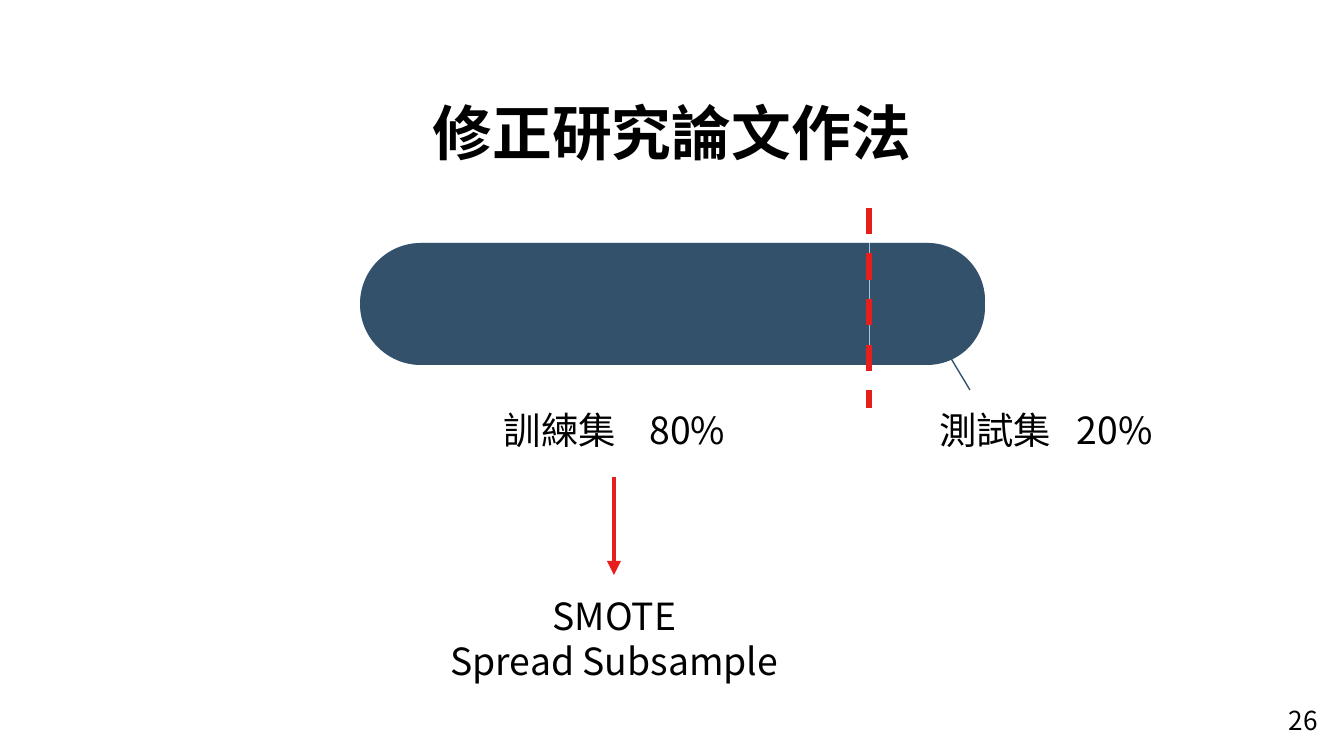
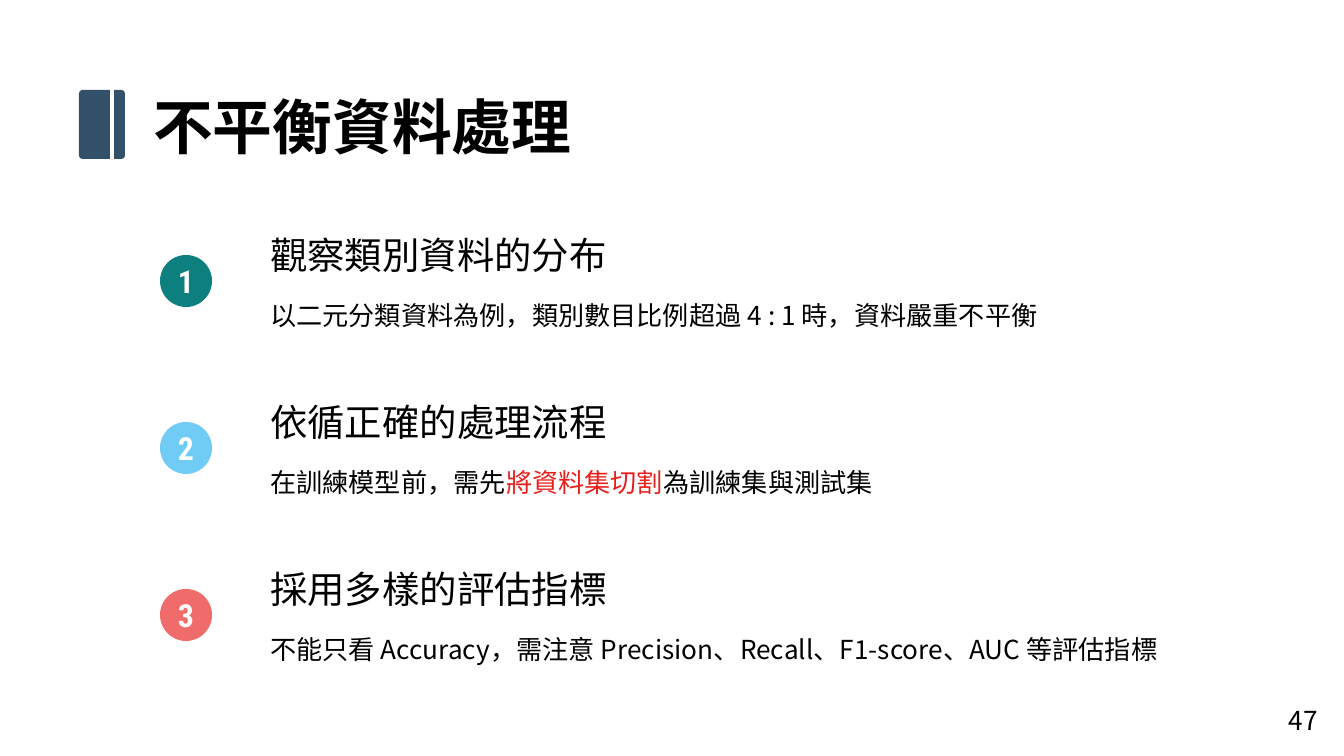
from lxml import etree
from pptx import Presentation
from pptx.dml.color import RGBColor
from pptx.enum.dml import MSO_LINE
from pptx.enum.shapes import MSO_CONNECTOR, MSO_SHAPE
from pptx.enum.text import MSO_ANCHOR, PP_ALIGN
from pptx.oxml.ns import qn
from pptx.util import Emu, Pt

COLORS = {
    "ink": "000000", "white": "FFFFFF", "navy": "34516C", "pale": "A7C3E1",
    "red": "E71F1C", "teal": "0E7F7F", "sky": "71CCF5", "coral": "EF6C6A",
}
BODY_FONT, BADGE_FONT = "Noto Sans CJK JP", "Roboto Condensed"
TITLE, HEADING, SMALL, BADGE = 32, 20, 14, 17

METHOD_TITLE = "修正研究論文作法"
DATASET_BAR = [
    ("pale", (360, 243, 625, 122), 90, (0.5, 0.5)),
    ("navy", (870, 243, 115, 122), 90, (0.5, 0)),
    ("navy", (360, 243, 509, 122), 270, (0.5, 0)),
]
SPLITS = [
    ("訓練集", "80%", 13.4, (360, 401, 509, 59), PP_ALIGN.CENTER),
    ("測試集", "20%", 9, (926, 401, 250, 59), PP_ALIGN.LEFT),
]
RESAMPLERS = ["SMOTE", "Spread Subsample"]

IMBALANCE_TITLE = "不平衡資料處理"
STEPS = [
    ("teal", "觀察類別資料的分布",
     [("以二元分類資料為例，類別數目比例超過 4 : 1 時，資料嚴重不平衡", "ink")]),
    ("sky", "依循正確的處理流程",
     [("在訓練模型前，需先", "ink"), ("將資料集切割", "red"), ("為訓練集與測試集", "ink")]),
    ("coral", "採用多樣的評估指標",
     [("不能只看 Accuracy，需注意 Precision、Recall、F1-score、AUC 等評估指標", "ink")]),
]
STEP_TOP, STEP_PITCH = 226, 167
BADGE_SIZE, BADGE_DROP = 52, 29


def px(length):
    return Emu(round(length * 914400 / 134.4))


def rgb(color):
    return RGBColor.from_string(COLORS[color])


def style(paragraph, size, color="ink", font=BODY_FONT, bold=False, align=PP_ALIGN.LEFT):
    paragraph.alignment = align
    paragraph.font.size = Pt(size)
    paragraph.font.bold = bold
    paragraph.font.name = font
    paragraph.font.color.rgb = rgb(color)
    defaults = paragraph.font._element
    latin = defaults.find(qn("a:latin"))
    east_asian = etree.Element(qn("a:ea"), typeface=font)
    latin.addnext(east_asian)


def add_text(slide, box, lines, **shared):
    frame = slide.shapes.add_textbox(*map(px, box)).text_frame
    frame.word_wrap = True
    for index, (text, size) in enumerate(lines):
        paragraph = frame.add_paragraph() if index else frame.paragraphs[0]
        paragraph.text = text
        style(paragraph, size, **shared)
    return frame.paragraphs


def add_shape(slide, preset, box, color):
    shape = slide.shapes.add_shape(preset, *map(px, box))
    shape.shadow.inherit = False
    shape.fill.solid()
    shape.fill.fore_color.rgb = rgb(color)
    shape.line.fill.background()
    return shape


def add_turned_end(slide, color, box, rotation, adjustments):
    left, top, width, height = box
    shift = (width - height) / 2
    end = add_shape(slide, MSO_SHAPE.ROUND_2_SAME_RECTANGLE,
                    (left + shift, top - shift, height, width), color)
    end.rotation = rotation
    for index, value in enumerate(adjustments):
        end.adjustments[index] = value


def add_line(slide, ends, color, width, dash=None, arrow=False):
    connector = slide.shapes.add_connector(MSO_CONNECTOR.STRAIGHT, *map(px, ends))
    line = connector.line
    line.color.rgb = rgb(color)
    line.width = Pt(width)
    if dash:
        line.dash_style = dash
    properties = connector._element.spPr
    if arrow:
        etree.SubElement(properties.find(qn("a:ln")), qn("a:tailEnd"), type="triangle")
    etree.SubElement(properties, qn("a:effectLst"))


def add_slide(deck, number):
    slide = deck.slides.add_slide(deck.slide_layouts[6])
    add_text(slide, (1263, 698, 81, 58), [(number, SMALL)], align=PP_ALIGN.CENTER)
    return slide


def add_split_label(slide, name, share, gap, box, align):
    label = add_text(slide, box, [(name, HEADING)], align=align)[0]
    space = label.add_run()
    space.text = " "
    space._r.get_or_add_rPr().set("spc", str(round(gap * 100)))
    label.add_run().text = share


def build_method(deck):
    slide = add_slide(deck, "26")
    for part in DATASET_BAR:
        add_turned_end(slide, *part)
    add_text(slide, (0, 89, 1344, 86), [(METHOD_TITLE, TITLE)],
             bold=True, align=PP_ALIGN.CENTER)
    add_line(slide, (869, 208, 869, 408), "red", 3.5, dash=MSO_LINE.DASH)
    for split in SPLITS:
        add_split_label(slide, *split)
    add_line(slide, (926, 317, 970, 390), "navy", 0.75)
    add_line(slide, (614, 477, 614, 575), "red", 2.5, arrow=True)
    add_text(slide, (360, 587, 509, 104), [(name, HEADING) for name in RESAMPLERS],
             align=PP_ALIGN.CENTER)


def add_step(slide, number, top, color, heading, detail):
    badge = add_shape(slide, MSO_SHAPE.OVAL,
                      (160, top + BADGE_DROP, BADGE_SIZE, BADGE_SIZE), color)
    frame = badge.text_frame
    frame.margin_left = frame.margin_right = frame.margin_top = frame.margin_bottom = 0
    frame.word_wrap = False
    frame.vertical_anchor = MSO_ANCHOR.MIDDLE
    frame.text = str(number)
    style(frame.paragraphs[0], BADGE, "white", BADGE_FONT, True, PP_ALIGN.CENTER)

    paragraphs = add_text(slide, (257, top, 1087, 113), [(heading, HEADING), ("", SMALL)])
    for paragraph in paragraphs:
        paragraph.space_after = Pt(12)
    for text, text_color in detail:
        run = paragraphs[1].add_run()
        run.text = text
        if text_color != "ink":
            run.font.color.rgb = rgb(text_color)


def build_imbalance(deck):
    slide = add_slide(deck, "47")
    add_text(slide, (140, 83, 1130, 86), [(IMBALANCE_TITLE, TITLE)], bold=True)
    marker = add_shape(slide, MSO_SHAPE.ROUNDED_RECTANGLE, (79, 90, 46, 69), "navy")
    marker.adjustments[0] = 0.08
    add_line(slide, (112, 81, 112, 172), "white", 2)
    for index, step in enumerate(STEPS):
        add_step(slide, index + 1, STEP_TOP + index * STEP_PITCH, *step)


def main():
    deck = Presentation()
    deck.slide_width, deck.slide_height = px(1344), px(756)
    build_method(deck)
    build_imbalance(deck)
    deck.save("out.pptx")


if __name__ == "__main__":
    main()
